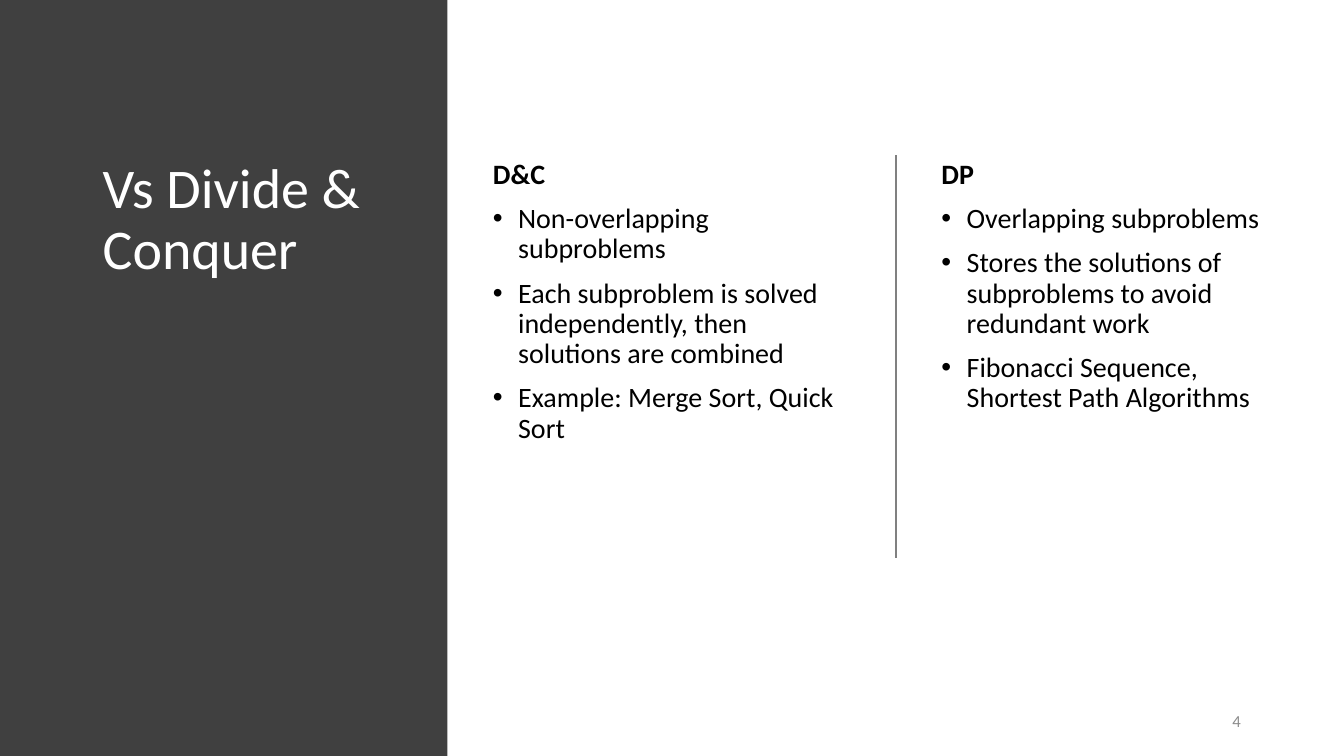
from lxml.etree import SubElement
from pptx import Presentation
from pptx.dml.color import RGBColor
from pptx.enum.shapes import MSO_CONNECTOR, MSO_SHAPE
from pptx.enum.text import MSO_ANCHOR, MSO_AUTO_SIZE, PP_ALIGN
from pptx.oxml.ns import qn
from pptx.util import Pt

COLORS = {
    "panel": "404040",
    "title": "FFFFFF",
    "body": "000000",
    "divider": "808080",
    "number": "8C8C8C",
}
TOP = 110.9
HEIGHT = 343.4
COLUMNS = [
    (344.9, 270, "D&C", [
        "Non-overlapping subproblems",
        "Each subproblem is solved independently, then solutions are combined",
        "Example: Merge Sort, Quick Sort",
    ]),
    (665.3, 252, "DP", [
        "Overlapping subproblems",
        "Stores the solutions of subproblems to avoid redundant work",
        "Fibonacci Sequence, Shortest Path Algorithms",
    ]),
]


def place(box, left, top, width, height, anchor):
    box.left, box.top, box.width, box.height = Pt(left), Pt(top), Pt(width), Pt(height)
    frame = box.text_frame
    frame.word_wrap = True
    frame.auto_size = MSO_AUTO_SIZE.NONE
    frame.vertical_anchor = anchor
    return frame


def style(para, size, color, bold=False):
    para.font.name = "Calibri"
    para.font.size = Pt(size)
    para.font.bold = bold
    para.font.color.rgb = RGBColor.from_string(COLORS[color])


deck = Presentation()
deck.slide_width, deck.slide_height = Pt(960), Pt(540)
page = deck.slides.add_slide(deck.slide_layouts[3])
title, *bodies = page.placeholders

panel = page.shapes.add_shape(MSO_SHAPE.RECTANGLE, 0, 0, Pt(319.7), Pt(540))
panel.shadow.inherit = False
panel.fill.solid()
panel.fill.fore_color.rgb = RGBColor.from_string(COLORS["panel"])
panel.line.fill.background()
title.element.addprevious(panel.element)

frame = place(title, 66.2, TOP, 228.2, HEIGHT, MSO_ANCHOR.TOP)
frame.text = "Vs Divide & Conquer"
para = frame.paragraphs[0]
para.alignment = PP_ALIGN.LEFT
para.line_spacing = 0.9
style(para, 40, "title")

for body, (left, width, heading, points) in zip(bodies, COLUMNS):
    frame = place(body, left, TOP, width, HEIGHT, MSO_ANCHOR.TOP)
    frame.text = "\n".join([heading] + points)
    for index, para in enumerate(frame.paragraphs):
        para.line_spacing = 0.9
        para.space_before = Pt(10)
        properties = para._p.get_or_add_pPr()
        if index == 0:
            properties.set("marL", "0")
            properties.set("indent", "0")
            SubElement(properties, qn("a:buNone"))
        else:
            properties.set("marL", str(Pt(18)))
            properties.set("indent", str(-Pt(18)))
            SubElement(properties, qn("a:buFont"), typeface="Arial")
            SubElement(properties, qn("a:buChar"), char="•")
        style(para, 20, "body", bold=index == 0)

divider = page.shapes.add_connector(
    MSO_CONNECTOR.STRAIGHT, Pt(640), Pt(TOP), Pt(640), Pt(TOP + 288))
divider.line.color.rgb = RGBColor.from_string(COLORS["divider"])
divider.line.width = Pt(1)
SubElement(divider.element.spPr, qn("a:effectLst"))

number = page.shapes.add_textbox(0, 0, 0, 0)
frame = place(number, 724.3, 500.4, 169.2, 28.8, MSO_ANCHOR.MIDDLE)
frame.text = "4"
para = frame.paragraphs[0]
para.alignment = PP_ALIGN.RIGHT
para.space_after = Pt(6)
style(para, 12, "number")

deck.save("out.pptx")
